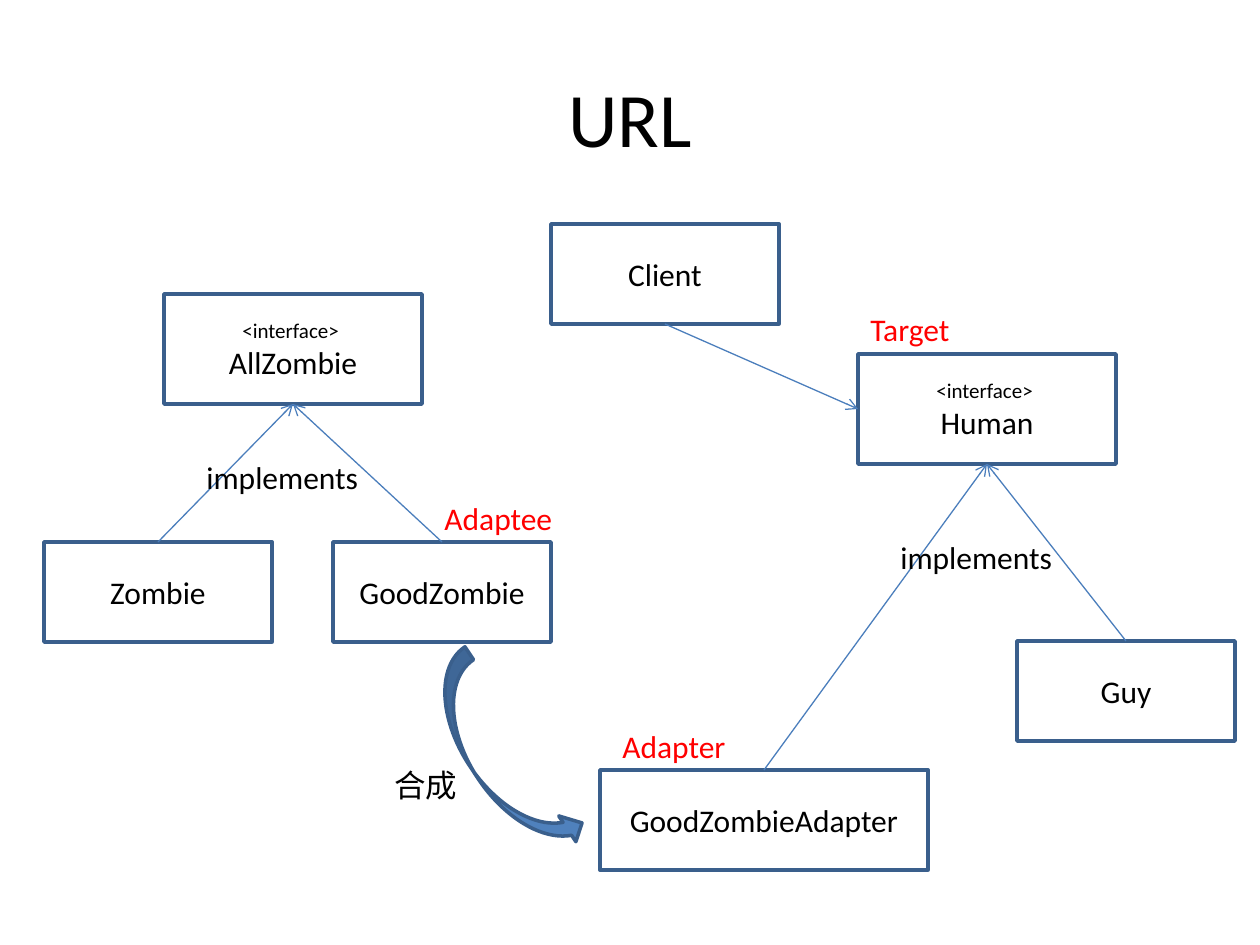
import pptx
import pptx.dml.color
import pptx.enum.shapes
import pptx.enum.text
import pptx.oxml
import pptx.oxml.ns
import pptx.util

SHAPE = pptx.enum.shapes.MSO_SHAPE
ALIGN = pptx.enum.text.PP_ALIGN
ANCHOR = pptx.enum.text.MSO_ANCHOR
Pt = pptx.util.Pt
TOP, LEFT, BOTTOM = 0, 1, 2  # connection sites of a box

THEME = {
    "font": "Calibri", "ink": "000000", "role": "FF0000",
    "outline": "3A5F8C", "link": "4B7EBC", "arrow": "4F81BD",
    "title": 44, "body": 18, "stereotype": 12,
    "outline_width": 2, "link_width": 0.75,
}

# Content: lengths in px, 126 to the inch
TITLE = ("URL", (63, 38, 1134, 157))
STEREOTYPE = "<interface> "
BOXES = [  # name, is interface, (left, top, width, height)
    ("AllZombie", True, (164, 294, 258, 110)),
    ("Zombie", False, (44, 542, 228, 100)),
    ("GoodZombie", False, (333, 542, 218, 100)),
    ("Human", True, (858, 354, 258, 110)),
    ("Guy", False, (1017, 641, 218, 100)),
    ("GoodZombieAdapter", False, (600, 770, 328, 100)),
    ("Client", False, (551, 224, 228, 100)),
]
LINKS = [  # from, site, to, site
    ("Zombie", TOP, "AllZombie", BOTTOM),
    ("GoodZombie", TOP, "AllZombie", BOTTOM),
    ("Guy", TOP, "Human", BOTTOM),
    ("GoodZombieAdapter", TOP, "Human", BOTTOM),
    ("Client", BOTTOM, "Human", LEFT),
]
LABELS = [  # text, colour, left, top, width
    ("implements", "ink", 194, 452, 198),
    ("implements", "ink", 888, 532, 179),
    ("Target", "role", 858, 304, 106),
    ("Adapter", "role", 610, 721, 130),
    ("Adaptee", "role", 432, 493, 135),
    ("合成", "ink", 382, 760, 89),
]
LABEL_HEIGHT = 50
COMPOSITION = ((471, 645, 62, 227), 326.4)  # place, rotation


def px(n):
    return pptx.util.Emu(round(n * 914400 / 126))


def color(name):
    return pptx.dml.color.RGBColor.from_string(THEME[name])


def style(p, size="body", ink="ink", align=ALIGN.LEFT):
    p.alignment = align
    p.font.name = THEME["font"]
    p.font.size = Pt(THEME[size])
    p.font.color.rgb = color(ink)


def add_outlined(shapes, kind, place):
    sp = shapes.add_shape(kind, *map(px, place))
    sp.shadow.inherit = False
    sp.line.color.rgb = color("outline")
    sp.line.width = Pt(THEME["outline_width"])
    return sp


def add_box(shapes, name, is_interface, place):
    sp = add_outlined(shapes, SHAPE.FLOWCHART_PROCESS, place)
    sp.fill.background()
    tf = sp.text_frame
    tf.word_wrap = True
    tf.vertical_anchor = ANCHOR.MIDDLE
    tf.text = f"{STEREOTYPE}\n{name}" if is_interface else name
    for p in tf.paragraphs:
        style(p, "stereotype" if p.text == STEREOTYPE else "body", align=ALIGN.CENTER)
    return sp


def add_link(shapes, start, start_site, end, end_site):
    link = shapes.add_connector(pptx.enum.shapes.MSO_CONNECTOR.STRAIGHT, 0, 0, 0, 0)
    link.begin_connect(start, start_site)
    link.end_connect(end, end_site)
    link.line.color.rgb = color("link")
    link.line.width = Pt(THEME["link_width"])
    tail = pptx.oxml.parse_xml(f'<a:tailEnd {pptx.oxml.ns.nsdecls("a")} type="arrow"/>')
    link.line._get_or_add_ln().append(tail)
    no_shadow = pptx.oxml.parse_xml(f'<a:effectLst {pptx.oxml.ns.nsdecls("a")}/>')
    link._element.spPr.append(no_shadow)


def add_label(shapes, text, ink, left, top, width):
    tf = shapes.add_textbox(*map(px, (left, top, width, LABEL_HEIGHT))).text_frame
    tf.word_wrap = False
    tf.text = text
    style(tf.paragraphs[0], ink=ink)


def main():
    prs = pptx.Presentation()
    prs.slide_width, prs.slide_height = px(1260), px(945)
    shapes = prs.slides.add_slide(prs.slide_layouts[5]).shapes

    # Title
    title = shapes.title
    title.text, place = TITLE
    title.left, title.top, title.width, title.height = map(px, place)
    title.text_frame.vertical_anchor = ANCHOR.MIDDLE
    style(title.text_frame.paragraphs[0], "title", align=ALIGN.CENTER)

    # Classes and their relations
    boxes = {box[0]: add_box(shapes, *box) for box in BOXES}
    for start, start_site, end, end_site in LINKS:
        add_link(shapes, boxes[start], start_site, boxes[end], end_site)

    # Composition arrow
    place, rotation = COMPOSITION
    arrow = add_outlined(shapes, SHAPE.CURVED_RIGHT_ARROW, place)
    arrow.rotation = rotation
    arrow.fill.solid()
    arrow.fill.fore_color.rgb = color("arrow")

    # Roles and relation names
    for label in LABELS:
        add_label(shapes, *label)

    prs.save("out.pptx")


if __name__ == "__main__":
    main()
